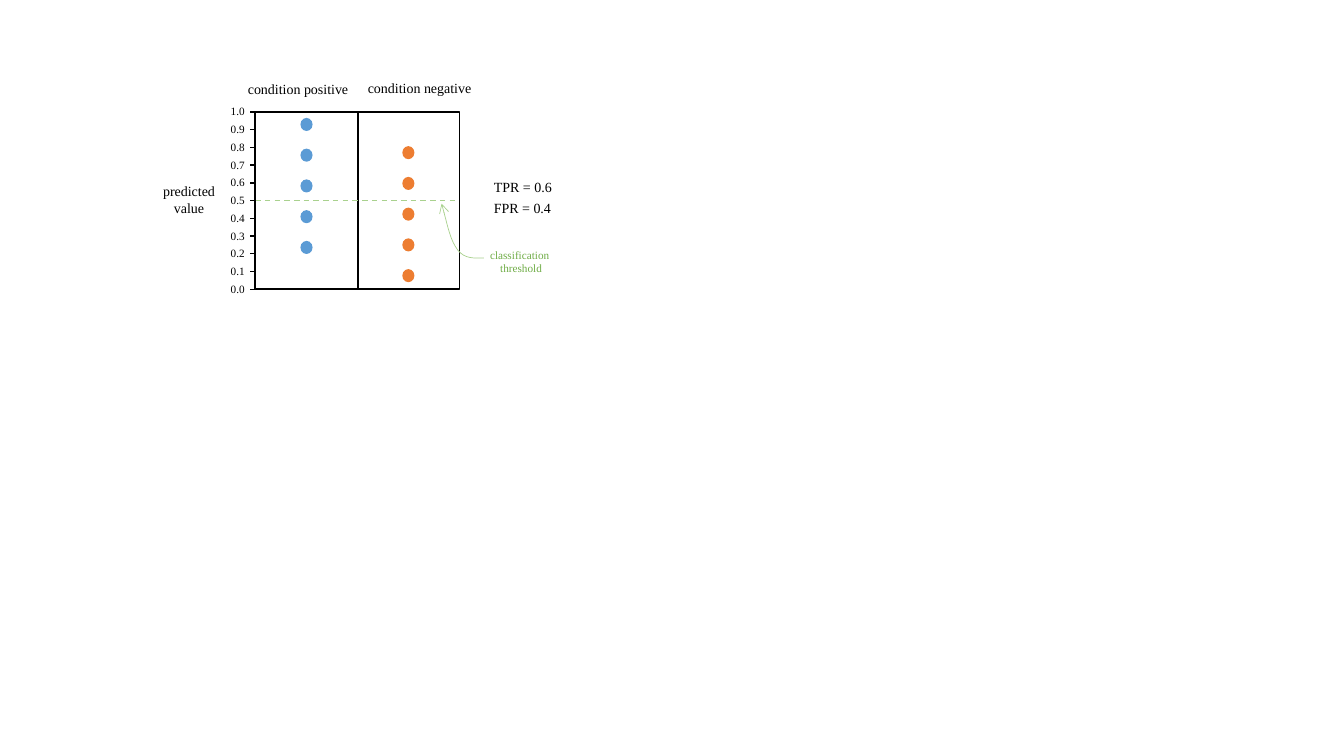
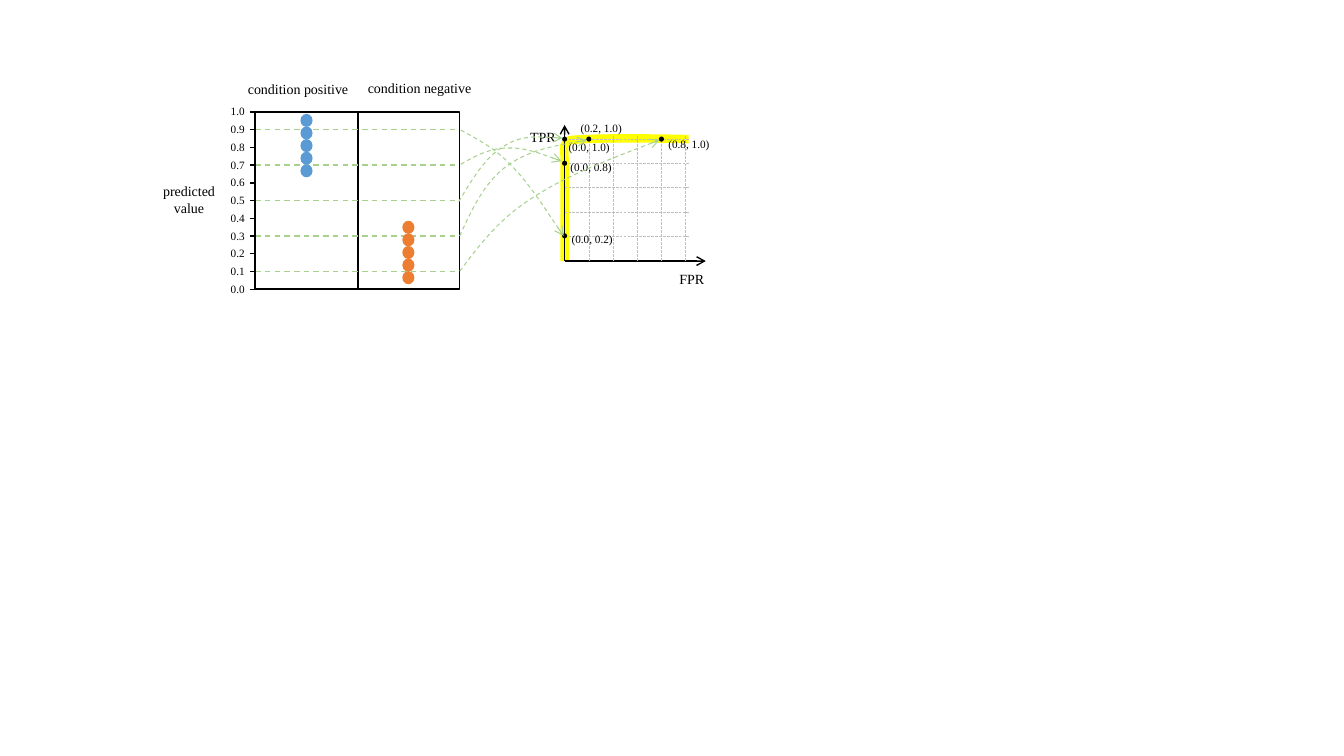
from dataclasses import dataclass
from typing import Any, Optional

from lxml.etree import SubElement
from pptx import Presentation
from pptx.dml.color import RGBColor
from pptx.enum.dml import MSO_LINE
from pptx.enum.shapes import MSO_CONNECTOR, MSO_SHAPE
from pptx.enum.text import MSO_AUTO_SIZE, PP_ALIGN
from pptx.oxml.ns import qn
from pptx.util import Inches, Pt

Point = tuple[float, float]


@dataclass(frozen=True)
class Theme:
    """Colours, font and type sizes of both slides."""
    font: str = "Times New Roman"
    label: float = 10
    small: float = 8
    black: str = "000000"
    positive: str = "5B9BD5"
    negative: str = "ED7D31"
    threshold: str = "A9D18E"
    caption: str = "70AD47"
    grid: str = "BFBFBF"
    highlight: str = "FFFF00"


T = Theme()


@dataclass(frozen=True)
class Stroke:
    """Look of a line."""
    color: str = T.black
    width: float = 1
    dash: Optional[MSO_LINE] = None
    arrow: bool = False


@dataclass(frozen=True)
class Label:
    """A text box with its place and look."""
    text: str
    left: float
    top: float
    width: float
    height: float = 0.27
    size: float = T.label
    color: str = T.black
    align: Optional[PP_ALIGN] = None
    wrap: bool = False


@dataclass(frozen=True)
class DotColumn:
    """A column of five evenly spaced dots."""
    left: float
    top: float
    step: float
    color: str


@dataclass(frozen=True)
class RocPoint:
    """A point of the ROC curve and the place of its label."""
    fpr: float
    tpr: float
    left: float
    top: float


LEFT, TOP, WIDTH, HEIGHT = 2.53, 1.11, 2.03, 1.76
RIGHT, MIDDLE, BOTTOM = LEFT + WIDTH, 3.55, TOP + HEIGHT
STEP = HEIGHT / 10
DOT_W, DOT_H, DOTS = 0.12, 0.13, 5
POSITIVE_X, NEGATIVE_X = 2.98, 3.99
ORIGIN_X, ORIGIN_Y, GRID_BASE, UNIT, REACH = 5.6, 2.59, 2.58, 1.2, 1.24
MARK = 0.05

SOLID = Stroke()
AXIS = Stroke(arrow=True)
CUTOFF = Stroke(T.threshold, 1, MSO_LINE.DASH)
GRID = Stroke(T.grid, 0.25, MSO_LINE.LONG_DASH)
POINTER = Stroke(T.threshold, 0.5, arrow=True)
MAPPING = Stroke(T.threshold, 0.75, MSO_LINE.DASH, True)
HIGHLIGHT = Stroke(T.highlight, 6)

PANEL_LABELS = [
    Label("predicted\nvalue", 1.51, 1.76, 0.73, 0.44, align=PP_ALIGN.CENTER),
    Label("condition positive", 2.36, 0.75, 1.21),
    Label("condition negative", 3.55, 0.74, 1.24),
]
RATE_LABELS = [
    Label("classification\n threshold", 4.68, 2.41, 0.95, 0.37, T.small, T.caption,
          PP_ALIGN.CENTER, True),
    Label("TPR = 0.6", 4.8, 1.72, 0.78),
    Label("FPR = 0.4", 4.8, 1.93, 0.77),
]
AXIS_LABELS = [Label("TPR", 5.16, 1.23, 0.46), Label("FPR", 6.64, 2.63, 0.46)]

SPREAD_DOTS = [DotColumn(POSITIVE_X, 1.17, 0.305, T.positive),
               DotColumn(NEGATIVE_X, 1.45, 0.305, T.negative)]
SEPARATED_DOTS = [DotColumn(POSITIVE_X, 1.13, 0.125, T.positive),
                  DotColumn(NEGATIVE_X, 2.19, 0.125, T.negative)]

ROC_POINTS = [
    RocPoint(0.0, 0.2, 5.57, 2.26),
    RocPoint(0.0, 0.8, 5.56, 1.54),
    RocPoint(0.0, 1.0, 5.54, 1.34),
    RocPoint(0.2, 1.0, 5.66, 1.15),
    RocPoint(0.8, 1.0, 6.53, 1.31),
]
POINTER_CURVE = [(4.8, 2.56), (4.7, 2.56), (4.61, 2.57), (4.54, 2.48),
                 (4.47, 2.39), (4.43, 2.2), (4.38, 2.02)]
ROC_CURVE = [(5.6, 2.59), (5.6, 2.2), (5.6, 1.81), (5.6, 1.61), (5.6, 1.42),
             (5.58, 1.46), (5.62, 1.42), (5.65, 1.39), (5.6, 1.39), (5.8, 1.38),
             (6, 1.37), (6.41, 1.37), (6.83, 1.38)]
MAPPING_CURVES = [
    [(4.56, 2.69), (4.75, 2.44), (4.94, 2.18), (5.27, 1.97),
     (5.6, 1.75), (6.07, 1.57), (6.54, 1.39)],
    [(4.56, 2.34), (4.68, 2.08), (4.8, 1.82), (5.01, 1.66),
     (5.22, 1.5), (5.52, 1.44), (5.82, 1.39)],
    [(4.55, 2), (4.69, 1.77), (4.82, 1.55), (5, 1.45),
     (5.17, 1.34), (5.38, 1.36), (5.58, 1.37)],
    [(4.57, 1.63), (4.71, 1.55), (4.86, 1.47), (5.02, 1.47),
     (5.19, 1.46), (5.38, 1.53), (5.57, 1.6)],
    [(4.57, 1.29), (4.73, 1.38), (4.9, 1.46), (5.07, 1.64),
     (5.24, 1.81), (5.41, 2.08), (5.59, 2.34)],
]


def apply_stroke(shape: Any, stroke: Stroke) -> None:
    """Set colour, width, dash and arrowhead of an outline."""
    shape.line.color.rgb = RGBColor.from_string(stroke.color)
    shape.line.width = Pt(stroke.width)
    if stroke.dash is not None:
        shape.line.dash_style = stroke.dash
    if stroke.arrow:
        ln = shape.element.spPr.find(qn("a:ln"))
        SubElement(ln, qn("a:tailEnd"), type="arrow")


def add_line(shapes: Any, start: Point, end: Point, stroke: Stroke) -> None:
    """Draw a straight line."""
    line = shapes.add_connector(MSO_CONNECTOR.STRAIGHT,
                                *(Inches(v) for v in (*start, *end)))
    apply_stroke(line, stroke)
    SubElement(line.element.spPr, qn("a:effectLst"))


def add_curve(shapes: Any, points: list[Point], stroke: Stroke) -> None:
    """Draw a chain of cubic curves through a start and triples of points."""
    start, *rest = [(Inches(x), Inches(y)) for x, y in points]
    builder = shapes.build_freeform(*start)
    builder.add_line_segments(rest, close=False)
    sp = builder.convert_to_shape()
    sp.shadow.inherit = False
    sp.fill.background()
    apply_stroke(sp, stroke)
    outline = sp.element.find(".//" + qn("a:path"))
    segments = outline.findall(qn("a:lnTo"))
    for i in range(0, len(segments), 3):
        bezier = SubElement(outline, qn("a:cubicBezTo"))
        for segment in segments[i:i + 3]:
            bezier.append(segment[0])
            outline.remove(segment)


def add_dot(shapes: Any, left: float, top: float, width: float, height: float,
            color: str) -> None:
    """Draw a filled ellipse."""
    sp = shapes.add_shape(MSO_SHAPE.OVAL, Inches(left), Inches(top),
                          Inches(width), Inches(height))
    sp.shadow.inherit = False
    sp.fill.solid()
    sp.fill.fore_color.rgb = RGBColor.from_string(color)
    sp.line.fill.background()


def add_label(shapes: Any, label: Label) -> None:
    """Write a text box."""
    box = shapes.add_textbox(Inches(label.left), Inches(label.top),
                             Inches(label.width), Inches(label.height))
    tf = box.text_frame
    tf.text = label.text
    tf.word_wrap = label.wrap
    tf.auto_size = MSO_AUTO_SIZE.SHAPE_TO_FIT_TEXT
    for p in tf.paragraphs:
        p.alignment = label.align
        for r in p.runs:
            r.font.name = T.font
            r.font.size = Pt(label.size)
            r.font.color.rgb = RGBColor.from_string(label.color)


def add_labels(shapes: Any, labels: list[Label]) -> None:
    """Write several text boxes."""
    for label in labels:
        add_label(shapes, label)


def add_scale(shapes: Any) -> None:
    """Draw the ticks and numbers from 1.0 down to 0.0."""
    ticks = shapes.add_group_shape().shapes
    numbers = shapes.add_group_shape().shapes
    for i in range(11):
        y = TOP + i * STEP
        add_line(ticks, (LEFT - 0.05, y), (LEFT, y), SOLID)
        add_label(numbers, Label(f"{1 - i / 10:.1f}", 2.19, y - 0.12, 0.34, 0.24, T.small))


def add_panel(shapes: Any, columns: list[DotColumn], cutoffs: list[float]) -> None:
    """Draw the panel of predicted values with its dots and thresholds."""
    add_line(shapes, (MIDDLE, TOP), (MIDDLE, BOTTOM), SOLID)
    for cutoff in cutoffs:
        y = BOTTOM - cutoff * HEIGHT
        add_line(shapes, (LEFT, y), (RIGHT, y), CUTOFF)
    for column in columns:
        for i in range(DOTS):
            add_dot(shapes, column.left, column.top + i * column.step,
                    DOT_W, DOT_H, column.color)
    add_scale(shapes)
    add_labels(shapes, PANEL_LABELS)
    frame = shapes.add_shape(MSO_SHAPE.RECTANGLE, Inches(LEFT), Inches(TOP),
                             Inches(WIDTH), Inches(HEIGHT))
    frame.shadow.inherit = False
    frame.fill.background()
    apply_stroke(frame, SOLID)


def add_roc_axes(shapes: Any) -> None:
    """Draw the ROC axes and grid."""
    axes = shapes.add_group_shape().shapes
    origin = (ORIGIN_X, ORIGIN_Y)
    add_line(axes, origin, (ORIGIN_X, 1.24), AXIS)
    add_line(axes, origin, (7, ORIGIN_Y), AXIS)
    add_labels(axes, AXIS_LABELS)
    for i in range(1, 6):
        x, y = ORIGIN_X + i * UNIT / 5, GRID_BASE - i * UNIT / 5
        add_line(axes, (ORIGIN_X, y), (ORIGIN_X + REACH, y), GRID)
        add_line(axes, (x, ORIGIN_Y - REACH), (x, ORIGIN_Y), GRID)


def add_roc_point(shapes: Any, point: RocPoint) -> None:
    """Draw a marker with its coordinates."""
    group = shapes.add_group_shape().shapes
    add_dot(group, ORIGIN_X + point.fpr * UNIT - MARK / 2,
            GRID_BASE - point.tpr * UNIT - MARK / 2, MARK, MARK, T.black)
    add_label(group, Label(f"({point.fpr:.1f}, {point.tpr:.1f})", point.left, point.top,
                           0.71, 0.24, T.small, wrap=True))


def build_threshold_slide(prs: Any) -> None:
    """Build the slide with a single threshold."""
    s = prs.slides.add_slide(prs.slide_layouts[6])
    add_panel(s.shapes, SPREAD_DOTS, [0.5])
    add_labels(s.shapes, RATE_LABELS)
    add_curve(s.shapes, POINTER_CURVE, POINTER)


def build_roc_slide(prs: Any) -> None:
    """Build the slide that maps thresholds to ROC points."""
    s = prs.slides.add_slide(prs.slide_layouts[6])
    add_curve(s.shapes, ROC_CURVE, HIGHLIGHT)
    add_roc_axes(s.shapes)
    add_panel(s.shapes, SEPARATED_DOTS, [0.1, 0.3, 0.5, 0.7, 0.9])
    for point in ROC_POINTS:
        add_roc_point(s.shapes, point)
    for curve in MAPPING_CURVES:
        add_curve(s.shapes, curve, MAPPING)


def main() -> None:
    """Build and save the presentation."""
    prs = Presentation()
    prs.slide_width, prs.slide_height = Inches(13.33), Inches(7.5)
    build_threshold_slide(prs)
    build_roc_slide(prs)
    prs.save("out.pptx")


main()
